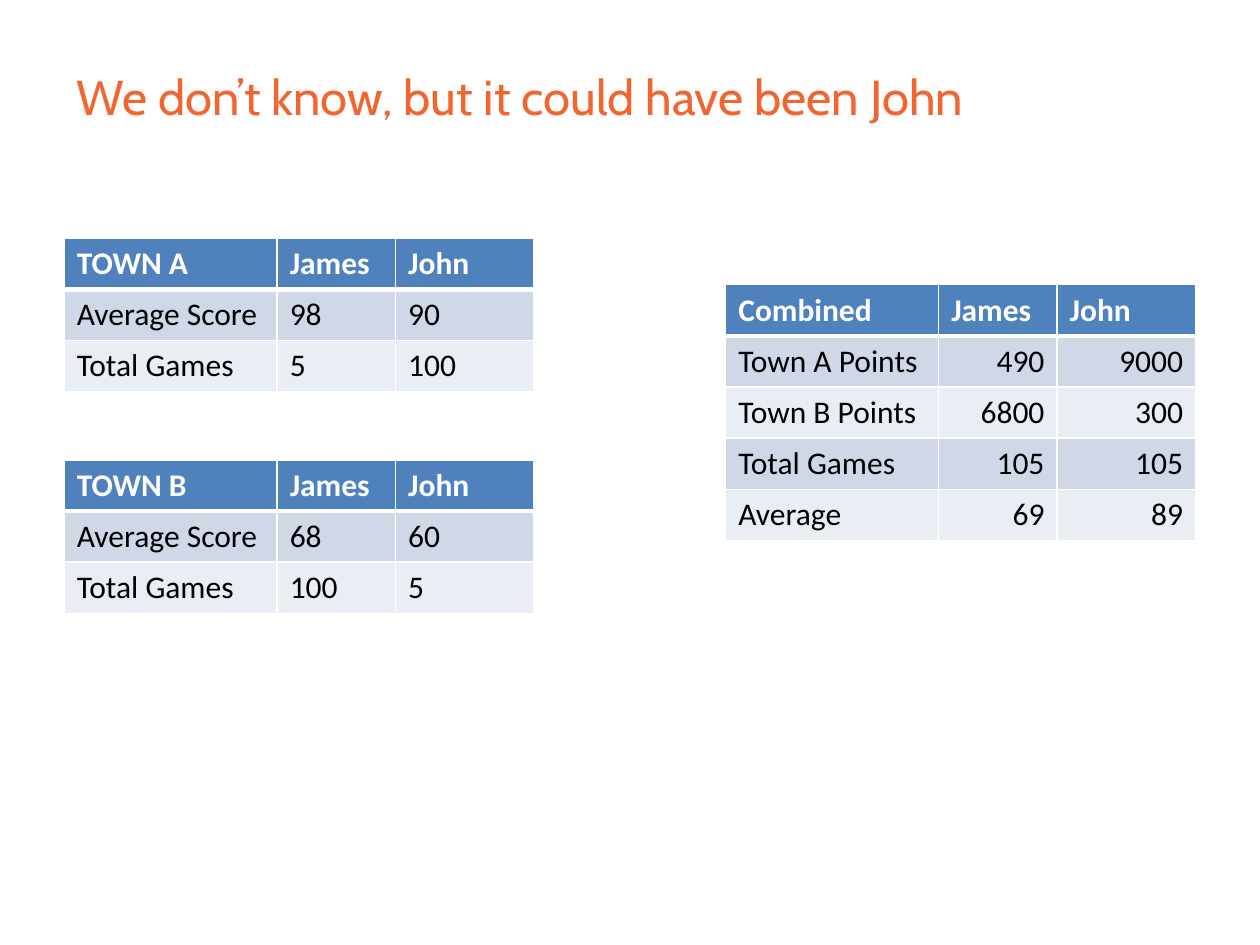
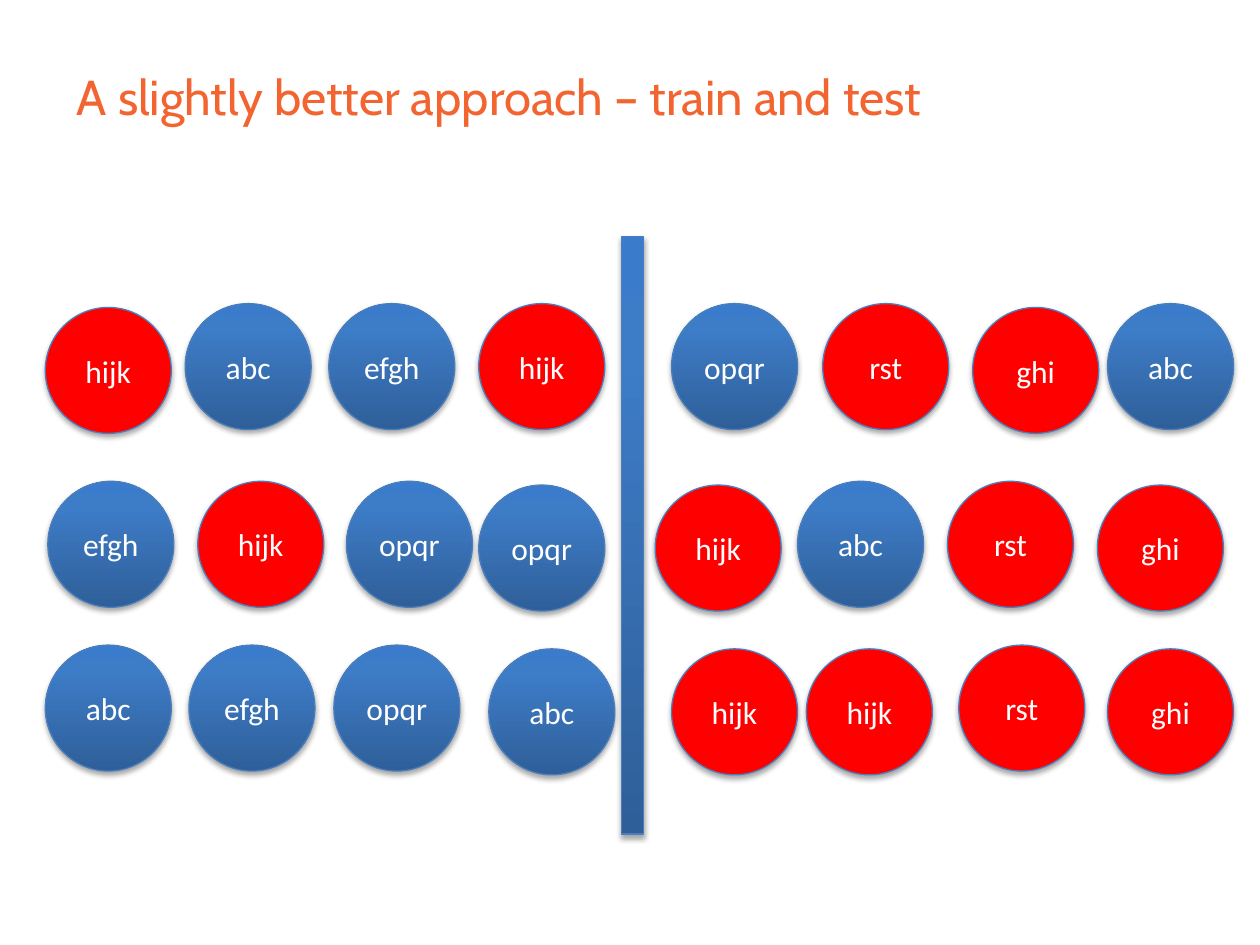
from copy import deepcopy
from lxml.etree import SubElement
from pptx import Presentation
from pptx.dml.color import RGBColor
from pptx.enum.shapes import MSO_SHAPE
from pptx.enum.text import MSO_ANCHOR, PP_ALIGN
from pptx.oxml import parse_xml
from pptx.oxml.ns import nsdecls, qn
from pptx.util import Inches, Pt

ORANGE = RGBColor(0xF2, 0x65, 0x31)
WHITE = RGBColor(0xFF, 0xFF, 0xFF)
BLACK = RGBColor(0, 0, 0)
RED = RGBColor(0xFF, 0, 0)
HEAD = RGBColor(0x4F, 0x81, 0xBD)
BANDS = [RGBColor(0xE9, 0xED, 0xF4), RGBColor(0xD0, 0xD8, 0xE8)]
EDGE = RGBColor(0x4B, 0x7E, 0xBC)
SHADE = [(0, RGBColor(0x2F, 0x5F, 0x99)), (0.8, RGBColor(0x3D, 0x7C, 0xC7)),
         (1, RGBColor(0x3A, 0x7C, 0xCB))]

# Slide 1: left, top, alignment of numbers, rows
TABLES = [
    (0.51, 1.89, PP_ALIGN.LEFT, [
        ("TOWN A", "James", "John"),
        ("Average Score", "98", "90"),
        ("Total Games", "5", "100")]),
    (0.51, 3.65, PP_ALIGN.LEFT, [
        ("TOWN B", "James", "John"),
        ("Average Score", "68", "60"),
        ("Total Games", "100", "5")]),
    (5.76, 2.26, PP_ALIGN.RIGHT, [
        ("Combined", "James", "John"),
        ("Town A Points", "490", "9000"),
        ("Town B Points", "6800", "300"),
        ("Total Games", "105", "105"),
        ("Average", "69", "89")]),
]
COLS = [1.69, 0.94, 1.1]
ROW = 2.03 / 5

# Slide 2: top of each row, then (word, left); "+" marks a ball set lower
BALLS = [
    (2.41, [("hijk+", 0.36), ("abc", 1.47), ("efgh", 2.61), ("hijk", 3.8),
            ("opqr", 5.33), ("rst", 6.53), ("ghi+", 7.72), ("abc", 8.79)]),
    (3.82, [("efgh", 0.38), ("hijk", 1.57), ("opqr", 2.75), ("opqr+", 3.8),
            ("hijk+", 5.2), ("abc", 6.33), ("rst", 7.52), ("ghi+", 8.71)]),
    (5.12, [("abc", 0.36), ("efgh", 1.5), ("opqr", 2.65), ("abc+", 3.88),
            ("hijk+", 5.33), ("hijk+", 6.4), ("rst", 7.61), ("ghi+", 8.79)]),
]
RED_WORDS = {"hijk", "rst", "ghi"}
DROP = 0.03
WALL = (4.93, 1.88, 0.18, 4.74)


def write(frame, text, color, size=18, font="Calibri", bold=False,
          align=PP_ALIGN.LEFT):
    para = frame.paragraphs[0]
    para.alignment = align
    run = para.add_run()
    run.text = text
    run.font.name, run.font.size = font, Pt(size)
    run.font.bold, run.font.color.rgb = bold, color


def start(deck, text):
    """Add a slide with the shared title style."""
    slide = deck.slides.add_slide(deck.slide_layouts[5])
    title = slide.shapes.title
    title.left, title.top = Inches(0.51), Inches(0.14)
    title.width, title.height = Inches(8.98), Inches(1.25)
    title.text_frame.vertical_anchor = MSO_ANCHOR.MIDDLE
    write(title.text_frame, text, ORANGE, 28, "Cabin")
    return slide


def border(cell, row):
    """Draw white cell edges, thick between header and body."""
    props = cell._tc.get_or_add_tcPr()
    thick = {0: "B", 1: "T"}.get(row)
    for side in "LRTB":
        width = Pt(3 if side == thick else 1)
        props.append(parse_xml(
            f'<a:ln{side} {nsdecls("a")} w="{width}"><a:solidFill>'
            f'<a:srgbClr val="{WHITE}"/></a:solidFill></a:ln{side}>'))


def add_grid(slide, left, top, align, rows):
    grid = slide.shapes.add_table(
        len(rows), len(COLS), Inches(left), Inches(top),
        Inches(sum(COLS)), Inches(ROW * len(rows))).table
    for col, width in zip(grid.columns, COLS):
        col.width = Inches(width)
    for r, row in enumerate(rows):
        for c, text in enumerate(row):
            cell = grid.cell(r, c)
            border(cell, r)
            cell.fill.solid()
            cell.fill.fore_color.rgb = BANDS[r % 2] if r else HEAD
            write(cell.text_frame, text, BLACK if r else WHITE, bold=r == 0,
                  align=align if r and c else PP_ALIGN.LEFT)


def shade(shape):
    """Fill from dark at the bottom to light at the top."""
    shape.fill.gradient()
    shape.fill.gradient_angle = 90
    stops = shape._element.spPr.find(".//" + qn("a:gsLst"))
    stops.append(deepcopy(stops[-1]))
    for stop, (place, color) in zip(shape.fill.gradient_stops, SHADE):
        stop.position, stop.color.rgb = place, color


def add_part(slide, kind, box, red=False):
    shape = slide.shapes.add_shape(kind, *map(Inches, box))
    if red:
        shape.fill.solid()
        shape.fill.fore_color.rgb = RED
    else:
        shade(shape)
    shape.line.color.rgb, shape.line.width = EDGE, Pt(0.75)
    # Soft shadow below
    shape.shadow.inherit = False
    glow = SubElement(shape._element.spPr.find(qn("a:effectLst")),
                      qn("a:outerShdw"), blurRad="40000", dist="23000",
                      dir="5400000", rotWithShape="0")
    tint = SubElement(glow, qn("a:srgbClr"), val=str(BLACK))
    SubElement(tint, qn("a:alpha"), val="35000")
    return shape


def main():
    deck = Presentation()
    deck.slide_width, deck.slide_height = Inches(10), Inches(7.5)

    # Score tables
    slide = start(deck, "We don’t know, but it could have been John")
    for spec_row in TABLES:
        add_grid(slide, *spec_row)

    # Balls split by a wall
    slide = start(deck, "A slightly better approach – train and test")
    for top, row in BALLS:
        for mark, left in row:
            word = mark.rstrip("+")
            down = DROP if word != mark else 0
            ball = add_part(slide, MSO_SHAPE.OVAL, (left, top + down, 1, 1),
                            word in RED_WORDS)
            ball.text_frame.vertical_anchor = MSO_ANCHOR.MIDDLE
            write(ball.text_frame, word, WHITE, align=PP_ALIGN.CENTER)
    add_part(slide, MSO_SHAPE.RECTANGLE, WALL)

    deck.save("out.pptx")


if __name__ == "__main__":
    main()
